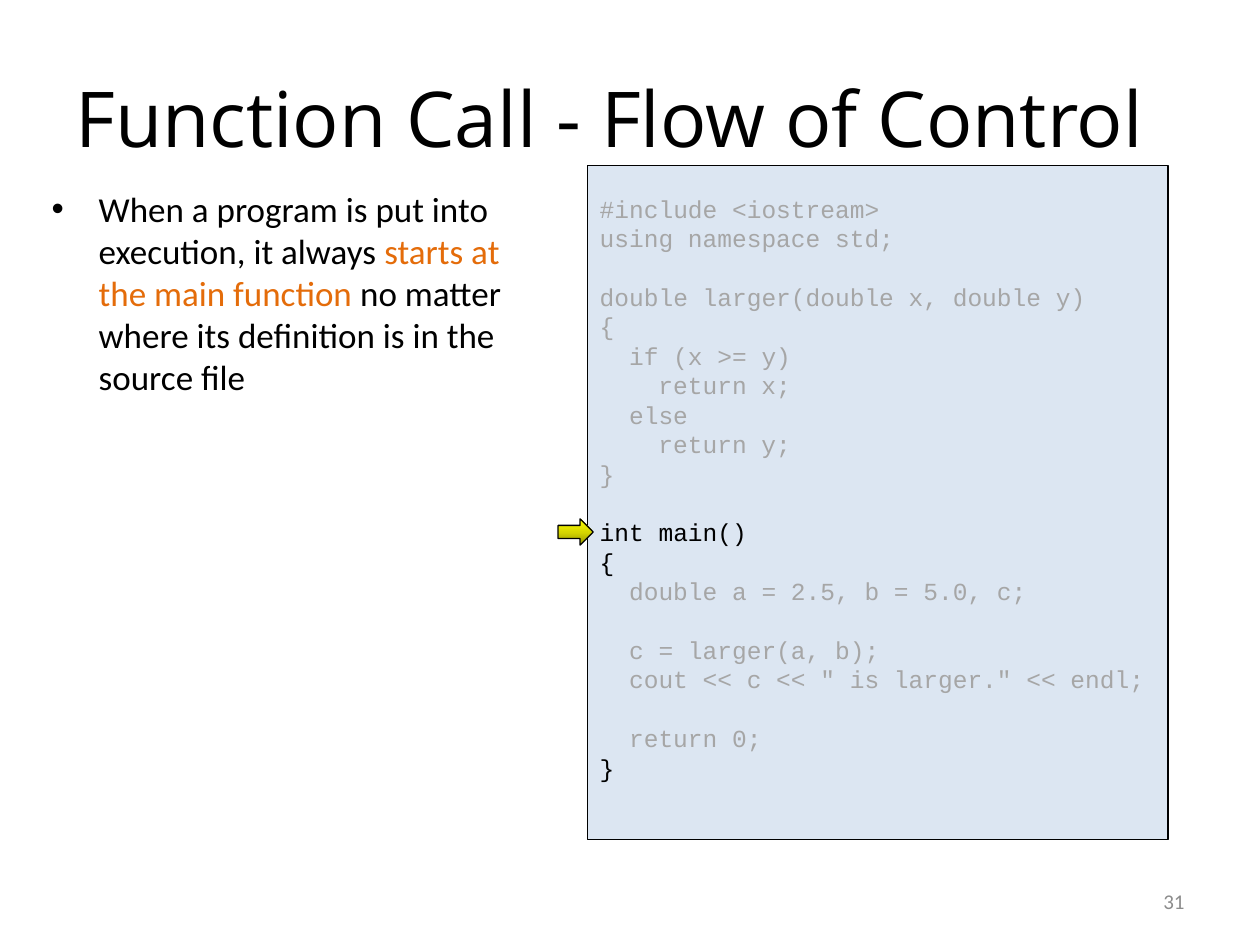
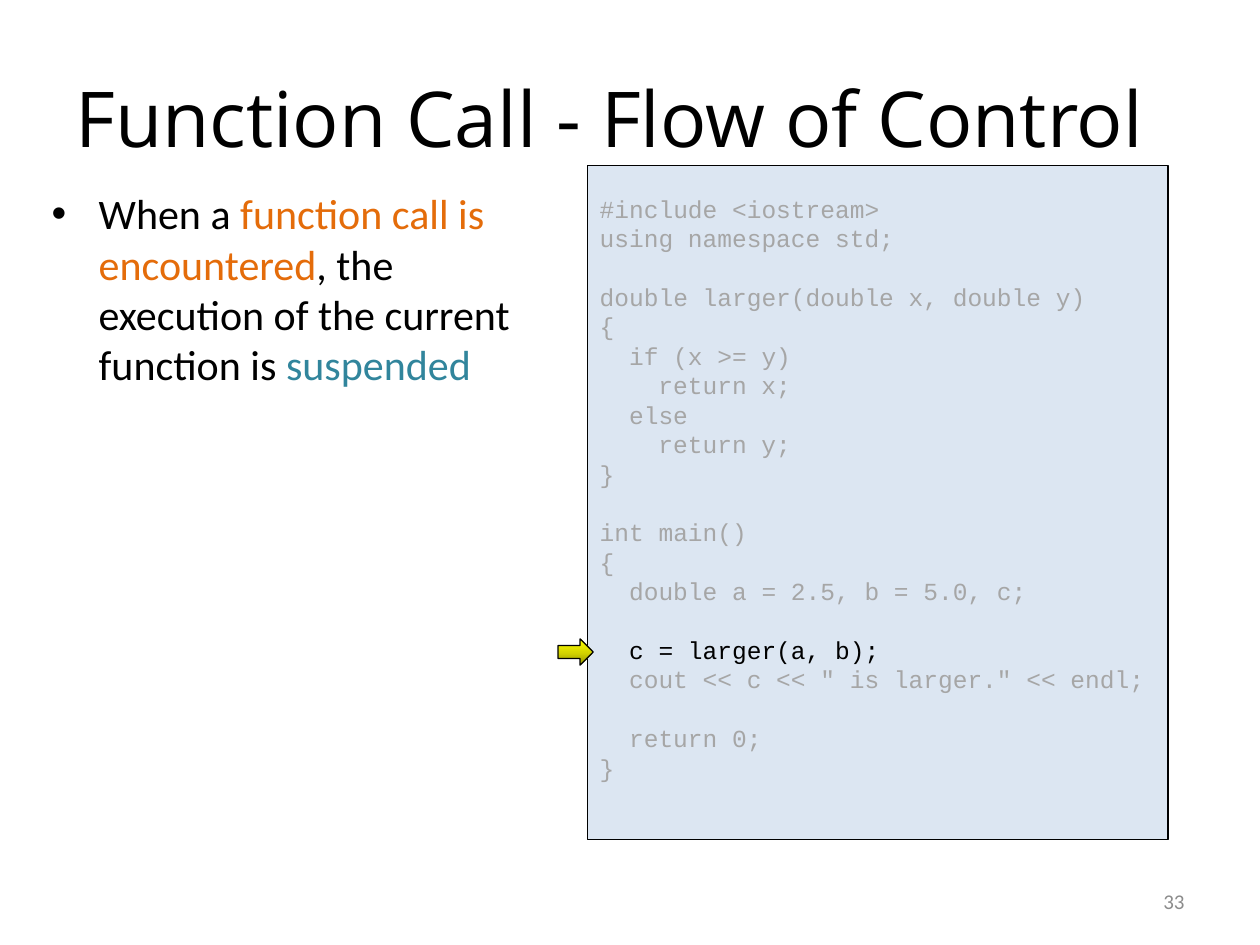
from copy import deepcopy
from dataclasses import dataclass

from lxml import etree
from pptx import Presentation
from pptx import util as u
from pptx.dml.color import RGBColor
from pptx.enum import shapes, text
from pptx.oxml.ns import qn


@dataclass(frozen=True)
class Theme:
    # Colours
    ink: str = "000000"
    dimmed: str = "A6A6A6"
    orange: str = "E46C0A"
    teal: str = "31859C"
    panel: str = "DCE6F2"
    footer: str = "8C8C8C"
    arrow: tuple = ("979700", "D7D700", "FFFF00")
    # Fonts and type sizes in points
    title_font: str = "Open Sans"
    body_font: str = "Calibri"
    code_font: str = "Courier New"
    title_size: int = 44
    code_size: int = 14
    number_size: int = 12
    leading: float = 1.2
    line_width: float = 0.75


THEME = Theme()
TITLE = "Function Call - Flow of Control"

PROGRAM = """\
#include <iostream>
using namespace std;

double larger(double x, double y)
{
  if (x >= y)
    return x;
  else
    return y;
}

int main()
{
  double a = 2.5, b = 5.0, c;

  c = larger(a, b);
  cout << c << " is larger." << endl;

  return 0;
}"""


class SlideBuilder:
    def __init__(self, presentation, theme):
        self.presentation = presentation
        self.theme = theme
        self.slide = None

    def new_slide(self):
        self.slide = self.presentation.slides.add_slide(
            self.presentation.slide_layouts[6])

    def style_run(self, run, font, size, colour):
        run.font.name = font
        run.font.size = u.Pt(size)
        run.font.color.rgb = RGBColor.from_string(colour)

    def indent(self, paragraph, left, first=0):
        properties = paragraph._p.get_or_add_pPr()
        properties.set("marL", str(int(left)))
        properties.set("indent", str(int(first)))
        return properties

    def text_box(self, left, top, width, height, anchor):
        box = self.slide.shapes.add_textbox(
            u.Cm(left), u.Cm(top), u.Cm(width), u.Cm(height))
        box.text_frame.word_wrap = True
        box.text_frame.vertical_anchor = anchor
        return box.text_frame

    def shape(self, kind, left, top, width, height):
        shape = self.slide.shapes.add_shape(
            kind, u.Cm(left), u.Cm(top), u.Cm(width), u.Cm(height))
        shape.shadow.inherit = False
        shape.line.color.rgb = RGBColor.from_string(self.theme.ink)
        shape.line.width = u.Pt(self.theme.line_width)
        return shape

    def title(self, wording):
        frame = self.text_box(1.27, 0.76, 22.86, 3.18, text.MSO_ANCHOR.MIDDLE)
        frame.text = wording
        self.style_run(frame.paragraphs[0].runs[0], self.theme.title_font,
                       self.theme.title_size, self.theme.ink)

    def bullet(self, parts, size):
        frame = self.text_box(0.79, 3.66, 10.31, 13.64, text.MSO_ANCHOR.TOP)
        paragraph = frame.paragraphs[0]
        paragraph.line_spacing = u.Pt(size * self.theme.leading)
        properties = self.indent(paragraph, u.Cm(0.95), -u.Cm(0.95))
        bullet_font = etree.SubElement(properties, qn("a:buFont"))
        bullet_font.set("typeface", "Arial")
        etree.SubElement(properties, qn("a:buChar")).set("char", "•")
        for wording, colour in parts:
            run = paragraph.add_run()
            run.text = wording
            self.style_run(run, self.theme.body_font, size, colour)

    def code_panel(self, program, active_lines):
        theme = self.theme
        panel = self.shape(shapes.MSO_SHAPE.RECTANGLE, 11.84, 3.34, 11.71, 13.59)
        panel.fill.solid()
        panel.fill.fore_color.rgb = RGBColor.from_string(theme.panel)
        frame = panel.text_frame
        frame.word_wrap = True
        frame.vertical_anchor = text.MSO_ANCHOR.MIDDLE
        frame.margin_bottom = u.Cm(0.72)

        # Leading spaces become indents; empty lines become space before
        line_height = u.Pt(theme.code_size * theme.leading)
        character_width = u.Pt(theme.code_size * 0.6)
        lines = program.splitlines()
        filled = [(number, line) for number, line in enumerate(lines, 1) if line]
        frame.text = "\n".join(line.strip() for _, line in filled)
        for (number, line), paragraph in zip(filled, frame.paragraphs):
            paragraph.alignment = text.PP_ALIGN.LEFT
            paragraph.line_spacing = line_height
            if number > 1 and not lines[number - 2]:
                paragraph.space_before = line_height
            depth = len(line) - len(line.lstrip())
            self.indent(paragraph, depth * character_width)
            colour = theme.ink if number in active_lines else theme.dimmed
            self.style_run(paragraph.runs[0], theme.code_font,
                           theme.code_size, colour)

    def step_arrow(self, top):
        arrow = self.shape(shapes.MSO_SHAPE.RIGHT_ARROW, 11.25, top, 0.71, 0.53)
        arrow.fill.gradient()
        arrow.fill.gradient_angle = 90
        stop_list = arrow._element.spPr.find(".//" + qn("a:gsLst"))
        stop_list.append(deepcopy(stop_list[0]))
        for index, (stop, colour) in enumerate(
                zip(arrow.fill.gradient_stops, self.theme.arrow)):
            stop.position = index / 2
            stop.color.rgb = RGBColor.from_string(colour)

    def slide_number(self, number):
        frame = self.text_box(18.21, 17.65, 5.92, 1.02, text.MSO_ANCHOR.MIDDLE)
        frame.text = str(number)
        paragraph = frame.paragraphs[0]
        paragraph.alignment = text.PP_ALIGN.RIGHT
        self.style_run(paragraph.runs[0], self.theme.body_font,
                       self.theme.number_size, self.theme.footer)


# Explanation, its type size, active code lines, arrow top (cm), slide number
STEPS = [
    ([("When a program is put into execution, it always ", THEME.ink),
      ("starts at the main function ", THEME.orange),
      ("no matter where its definition is in the source file", THEME.ink)],
     20, {12, 13, 20}, 10.46, 31),
    ([("When a ", THEME.ink),
      ("function call is encountered", THEME.orange),
      (", the execution of the current function is ", THEME.ink),
      ("suspended", THEME.teal)],
     24, {16}, 12.88, 33),
]


def main():
    presentation = Presentation()
    presentation.slide_width = u.Cm(25.4)
    presentation.slide_height = u.Cm(19.05)
    builder = SlideBuilder(presentation, THEME)
    for explanation, size, active_lines, arrow_top, number in STEPS:
        builder.new_slide()
        builder.title(TITLE)
        builder.bullet(explanation, size)
        builder.code_panel(PROGRAM, active_lines)
        builder.step_arrow(arrow_top)
        builder.slide_number(number)
    presentation.save("out.pptx")


if __name__ == "__main__":
    main()
